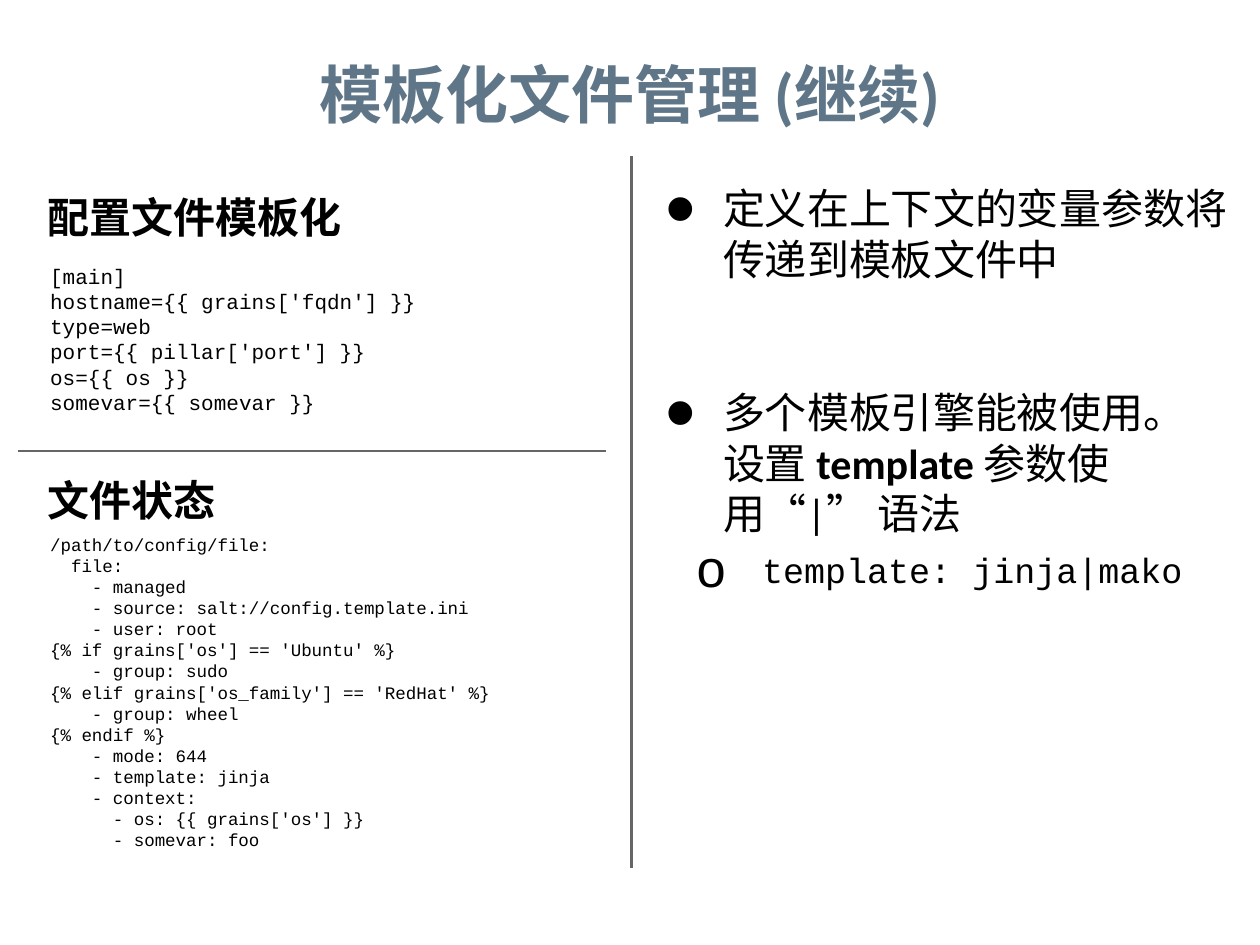
import pptx
import pptx.util
import pptx.dml.color
import pptx.enum.shapes
import pptx.enum.text
import pptx.oxml.ns
import lxml.etree

Pt = pptx.util.Pt
RGB = pptx.dml.color.RGBColor.from_string
qn = pptx.oxml.ns.qn

THEME = {
    "title": {"name": "Calibri", "size": Pt(36), "bold": True, "color": "5F7688"},
    "heading": {"name": "Calibri", "size": Pt(24), "bold": True, "color": "000000"},
    "body": {"name": "Calibri", "size": Pt(24), "bold": False, "color": "000000"},
    "strong": {"name": "Calibri", "size": Pt(24), "bold": True, "color": "000000"},
    "sample": {"name": "Courier New", "size": Pt(20), "bold": False, "color": "000000"},
    "config": {"name": "Courier New", "size": Pt(12), "bold": False, "color": "000000"},
    "state": {"name": "Courier New", "size": Pt(10), "bold": False, "color": "000000"},
    "rule": {"color": "666666", "width": Pt(1.5)},
}
BULLETS = {
    0: {"char": "•", "size": 208, "left": 0.5, "hang": -0.46},
    1: {"char": "o", "size": 150, "left": 0.81, "hang": -0.52},
}

CONFIG = """[main]
hostname={{ grains['fqdn'] }}
type=web
port={{ pillar['port'] }}
os={{ os }}
somevar={{ somevar }}"""

STATE = """/path/to/config/file:
  file:
    - managed
    - source: salt://config.template.ini
    - user: root
{% if grains['os'] == 'Ubuntu' %}
    - group: sudo
{% elif grains['os_family'] == 'RedHat' %}
    - group: wheel
{% endif %}
    - mode: 644
    - template: jinja
    - context:
      - os: {{ grains['os'] }}
      - somevar: foo"""

prs = pptx.Presentation()
prs.slide_width = pptx.util.Inches(10)
prs.slide_height = pptx.util.Inches(7.5)
COL = prs.slide_width / 100
ROW = prs.slide_height / 75
s = prs.slides.add_slide(prs.slide_layouts[6])


def add_text(box, paragraphs, **frame):
    x, y, w, h = box
    sp = s.shapes.add_textbox(int(x * COL), int(y * ROW), int(w * COL), int(h * ROW))
    tf = sp.text_frame
    tf.word_wrap = True
    margins = dict.fromkeys(("margin_left", "margin_top", "margin_right", "margin_bottom"), int(COL))
    for key, value in {**margins, **frame}.items():
        setattr(tf, key, value)
    for i, (level, runs) in enumerate(paragraphs):
        p = tf.add_paragraph() if i else tf.paragraphs[0]
        if level is not None:
            add_bullet(p, level)
            if i:
                p.space_before = Pt(6)
        for style, text in runs:
            r = p.add_run()
            r.text = text
            for key, value in THEME[style].items():
                if key == "color":
                    r.font.color.rgb = RGB(value)
                else:
                    setattr(r.font, key, value)
    return tf


def add_bullet(p, level):
    b = BULLETS[level]
    p.level = level
    pPr = p._p.get_or_add_pPr()
    for key, inches in (("marL", b["left"]), ("indent", b["hang"])):
        pPr.set(key, str(int(pptx.util.Inches(inches))))
    color = lxml.etree.SubElement(pPr, qn("a:buClr"))
    lxml.etree.SubElement(color, qn("a:srgbClr")).set("val", THEME["body"]["color"])
    for tag, key, value in (
        ("a:buSzPct", "val", str(b["size"] * 1000)),
        ("a:buFont", "typeface", "Arial"),
        ("a:buChar", "char", b["char"]),
    ):
        lxml.etree.SubElement(pPr, qn(tag)).set(key, value)


tf = add_text((5, 3, 90, 8.4), [(None, [("title", "模板化文件管理 (继续)")])],
              vertical_anchor=pptx.enum.text.MSO_ANCHOR.BOTTOM)
tf.paragraphs[0].alignment = pptx.enum.text.PP_ALIGN.CENTER

for x1, y1, x2, y2 in ((50.1, 12.4, 50.1, 68.9), (1.4, 35.8, 48.1, 35.8)):
    rule = s.shapes.add_connector(pptx.enum.shapes.MSO_CONNECTOR.STRAIGHT,
                                  int(x1 * COL), int(y1 * ROW), int(x2 * COL), int(y2 * ROW))
    rule.line.color.rgb = RGB(THEME["rule"]["color"])
    rule.line.width = THEME["rule"]["width"]
    lxml.etree.SubElement(rule._element.spPr, qn("a:effectLst"))

for y, heading in ((14.2, "配置文件模板化"), (36.7, "文件状态")):
    add_text((2.8, y, 43, 5.3), [(None, [("heading", heading)])])

for y, h, style, code in ((19.9, 13, "config", CONFIG), (41.4, 26.8, "state", STATE)):
    add_text((3, y, 44.3, h), [(None, [(style, line)]) for line in code.splitlines()])

add_text((51.4, 13.5, 47, 17.5), [(0, [("body", "定义在上下文的变量参数将传递到模板文件中")])])
add_text((51.4, 29.7, 46.7, 25.5), [
    (0, [("body", "多个模板引擎能被使用。设置 "), ("strong", "template "), ("body", "参数使用“|” 语法")]),
    (1, [("sample", "template: jinja|mako")]),
])

prs.save("out.pptx")
